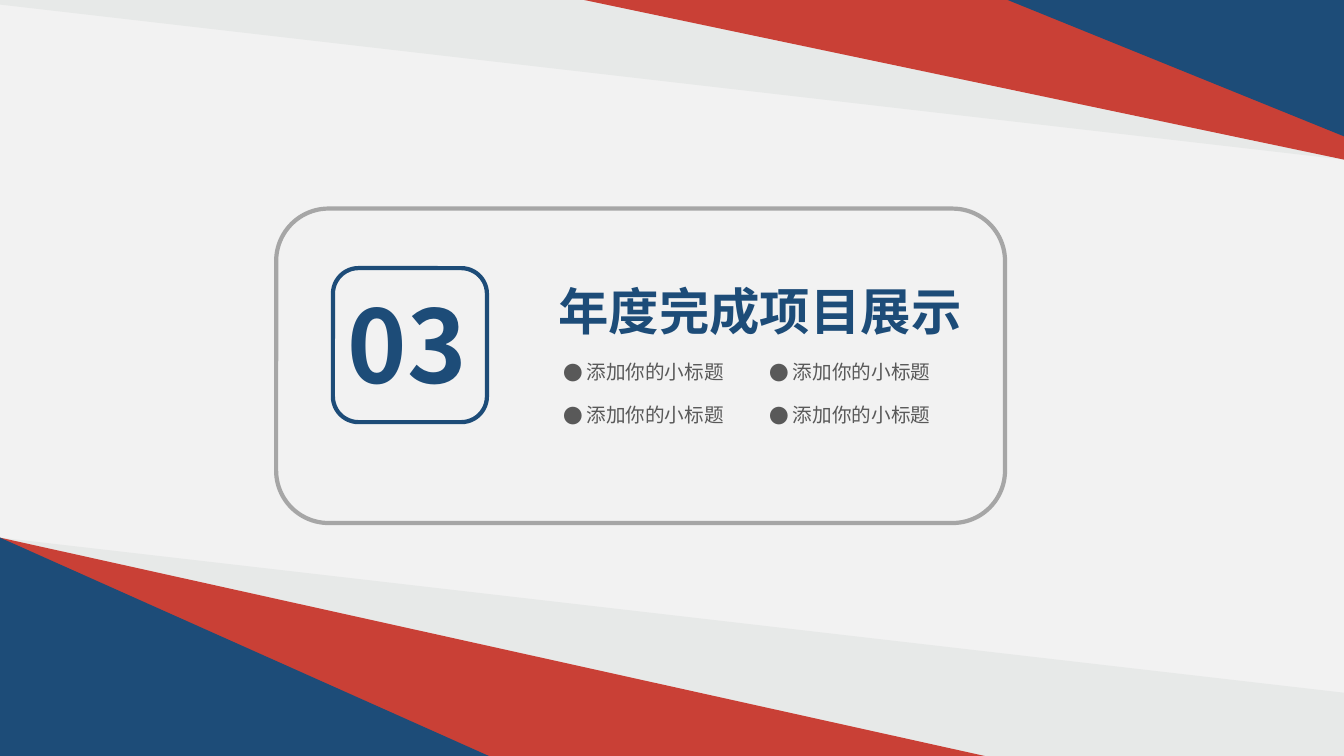
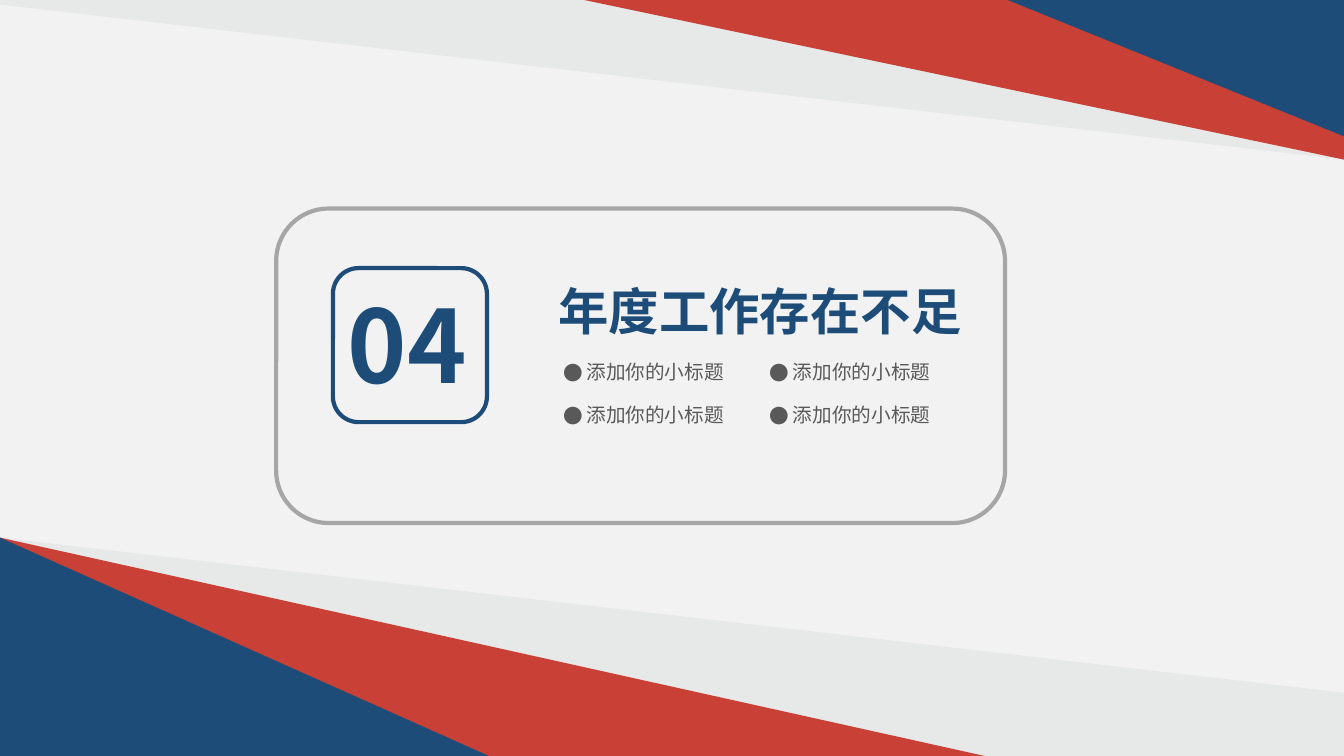
import lxml.etree
import pptx
import pptx.dml.color
import pptx.enum.shapes
import pptx.oxml.ns
import pptx.util

Pt = pptx.util.Pt
RGB = pptx.dml.color.RGBColor
KINDS = pptx.enum.shapes.MSO_SHAPE
PAPER = RGB(0xF2, 0xF2, 0xF2)
MIST = RGB(0xE7, 0xE9, 0xE8)
RED = RGB(0xC9, 0x40, 0x36)
NAVY = RGB(0x1D, 0x4C, 0x78)
GRAY = RGB(0xA6, 0xA6, 0xA6)
INK = RGB(0x59, 0x59, 0x59)
FACE = "Noto Sans CJK SC"
WIDE, HIGH = 960, 540

BANDS = [
    (-756, -84, 1811, 209, MIST, 180),
    (0, 384, 1811, 209, MIST, 0),
    (0, 384, 942.5, 209, RED, 0),
    (0, 384, 468, 209, NAVY, 0),
    (17.5, -84, 942.5, 198, RED, 180),
    (444.5, -111.6, 515.5, 209, NAVY, 180),
]
NUMBER = {"size": Pt(72), "bold": True}
TITLE = {"size": Pt(36), "bold": True}
ITEM = {"size": Pt(14), "bold": False}
HEADS = [("03", "年度完成项目展示"), ("04", "年度工作存在不足")]
POINTS = ["添加你的小标题"] * 4


class Deck:
    """Hold the shared style and the current slide."""

    def __init__(self):
        self.file = pptx.Presentation()
        self.file.slide_width, self.file.slide_height = Pt(WIDE), Pt(HIGH)
        self.slide = None

    def page(self):
        self.slide = self.file.slides.add_slide(self.file.slide_layouts[6])
        fill = self.slide.background.fill
        fill.solid()
        fill.fore_color.rgb = PAPER
        for left, top, width, height, color, turn in BANDS:
            self.band((left, top, width, height), color, turn)

    def shape(self, kind, box):
        shape = self.slide.shapes.add_shape(kind, *map(Pt, box))
        shape.shadow.inherit = False
        return shape

    def band(self, box, color, turn):
        shape = self.shape(KINDS.RIGHT_TRIANGLE, box)
        shape.rotation = turn
        shape.fill.solid()
        shape.fill.fore_color.rgb = color
        shape.line.fill.background()

    def frame(self, box, color):
        shape = self.shape(KINDS.ROUNDED_RECTANGLE, box)
        shape.fill.background()
        shape.line.color.rgb = color
        shape.line.width = Pt(3)

    def text(self, box, words, style, color, mark=None):
        frame = self.slide.shapes.add_textbox(*map(Pt, box)).text_frame
        frame.word_wrap = True
        para = frame.paragraphs[0]
        if mark:
            self.bullet(para, mark)
        run = para.add_run()
        run.text = words
        for key, value in {"name": FACE, **style}.items():
            setattr(run.font, key, value)
        run.font.color.rgb = color
        lxml.etree.SubElement(run._r.get_or_add_rPr(),
                              pptx.oxml.ns.qn("a:ea"), typeface=FACE)

    def bullet(self, para, mark):
        props = para._p.get_or_add_pPr()
        gap = Pt(16.5)
        props.set("marL", str(gap))
        props.set("indent", str(-gap))
        for tag, key, value in [("a:buFont", "typeface", FACE),
                                ("a:buChar", "char", mark)]:
            lxml.etree.SubElement(props, pptx.oxml.ns.qn(tag)).set(key, value)

    def cover(self, number, title):
        self.page()
        self.frame((197.3, 149, 520.6, 224.6), GRAY)
        self.frame((237.8, 191.5, 110, 110), NAVY)
        self.text((241.2, 198.7, 103, 94.3), number, NUMBER, NAVY)
        self.text((391.7, 196.6, 310, 51), title, TITLE, NAVY)
        for index, words in enumerate(POINTS):
            row, col = divmod(index, 2)
            box = (395.3 + col * 147.5, 253.4 + row * 31.2, 134, 24.5)
            self.text(box, words, ITEM, INK, "●")


def main():
    deck = Deck()
    for number, title in HEADS:
        deck.cover(number, title)
    deck.file.save("out.pptx")


if __name__ == "__main__":
    main()
